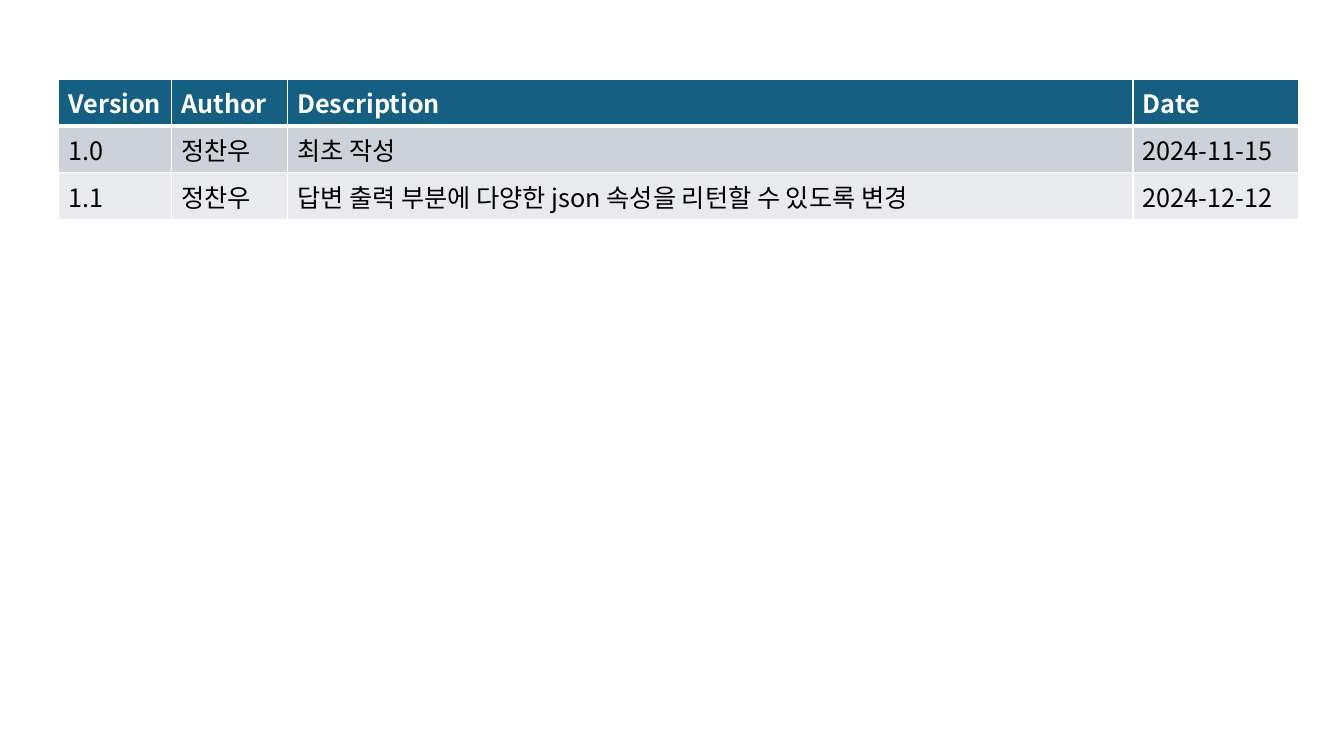
from lxml import etree
from pptx import Presentation
from pptx.dml.color import RGBColor
from pptx.oxml.ns import qn
from pptx.util import Pt

FONT = "Noto Sans CJK KR"
INK = {"head": "156082", "odd": "CCD2D8", "even": "E8EAED",
       "white": "FFFFFF", "black": "000000"}
WIDTHS = [80.64, 82.8, 604.08, 118.08]
HEIGHT = 33
ROWS = [
    ["Version", "Author", "Description", "Date"],
    ["1.0", "정찬우", "최초 작성", "2024-11-15"],
    ["1.1", "정찬우", "답변 출력 부분에 다양한 json 속성을 리턴할 수 있도록 변경", "2024-12-12"],
]


def color(name):
    return RGBColor.from_string(INK[name])


def add_edge(cell, side, width):
    props = cell._tc.get_or_add_tcPr()
    line = etree.SubElement(props, qn(f"a:ln{side}"), w=str(Pt(width)))
    fill = etree.SubElement(line, qn("a:solidFill"))
    etree.SubElement(fill, qn("a:srgbClr"), val=INK["white"])


def add_text(cell, words, ink, bold):
    run = cell.text_frame.paragraphs[0].add_run()
    run.text = words
    font = run.font
    font.name, font.size, font.bold = FONT, Pt(18), bold
    font.color.rgb = color(ink)
    etree.SubElement(font._element, qn("a:ea"), typeface=FONT)


def fill_cell(cell, words, row):
    head = row == 0
    tops = {0: 1, 1: 3}
    edges = {"L": 1, "R": 1, "T": tops.get(row, 1), "B": 3 if head else 1}
    for side, width in edges.items():
        add_edge(cell, side, width)
    cell.fill.solid()
    cell.fill.fore_color.rgb = color("head" if head else "odd" if row % 2 else "even")
    add_text(cell, words, "white" if head else "black", head)


def add_log(slide, left, top):
    frame = slide.shapes.add_table(len(ROWS), len(WIDTHS), Pt(left), Pt(top),
                                   Pt(sum(WIDTHS)), Pt(HEIGHT * len(ROWS)))
    table = frame.table
    for column, width in zip(table.columns, WIDTHS):
        column.width = Pt(width)
    for i, words in enumerate(ROWS):
        table.rows[i].height = Pt(HEIGHT)
        for j, word in enumerate(words):
            fill_cell(table.cell(i, j), word, i)


def main():
    deck = Presentation()
    deck.slide_width, deck.slide_height = Pt(960), Pt(540)
    slide = deck.slides.add_slide(deck.slide_layouts[6])
    add_log(slide, 41.76, 56.88)
    deck.save("out.pptx")


if __name__ == "__main__":
    main()
